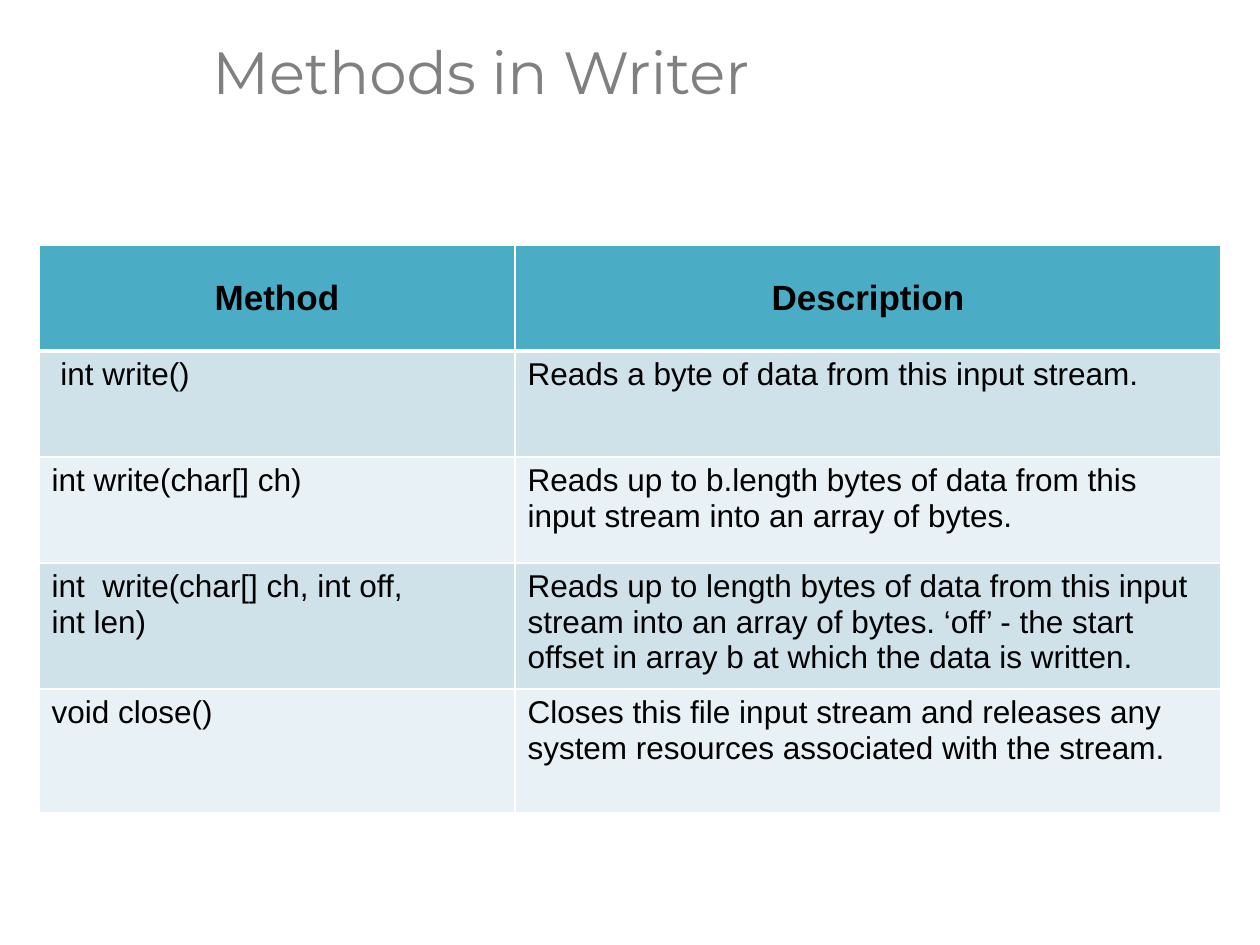
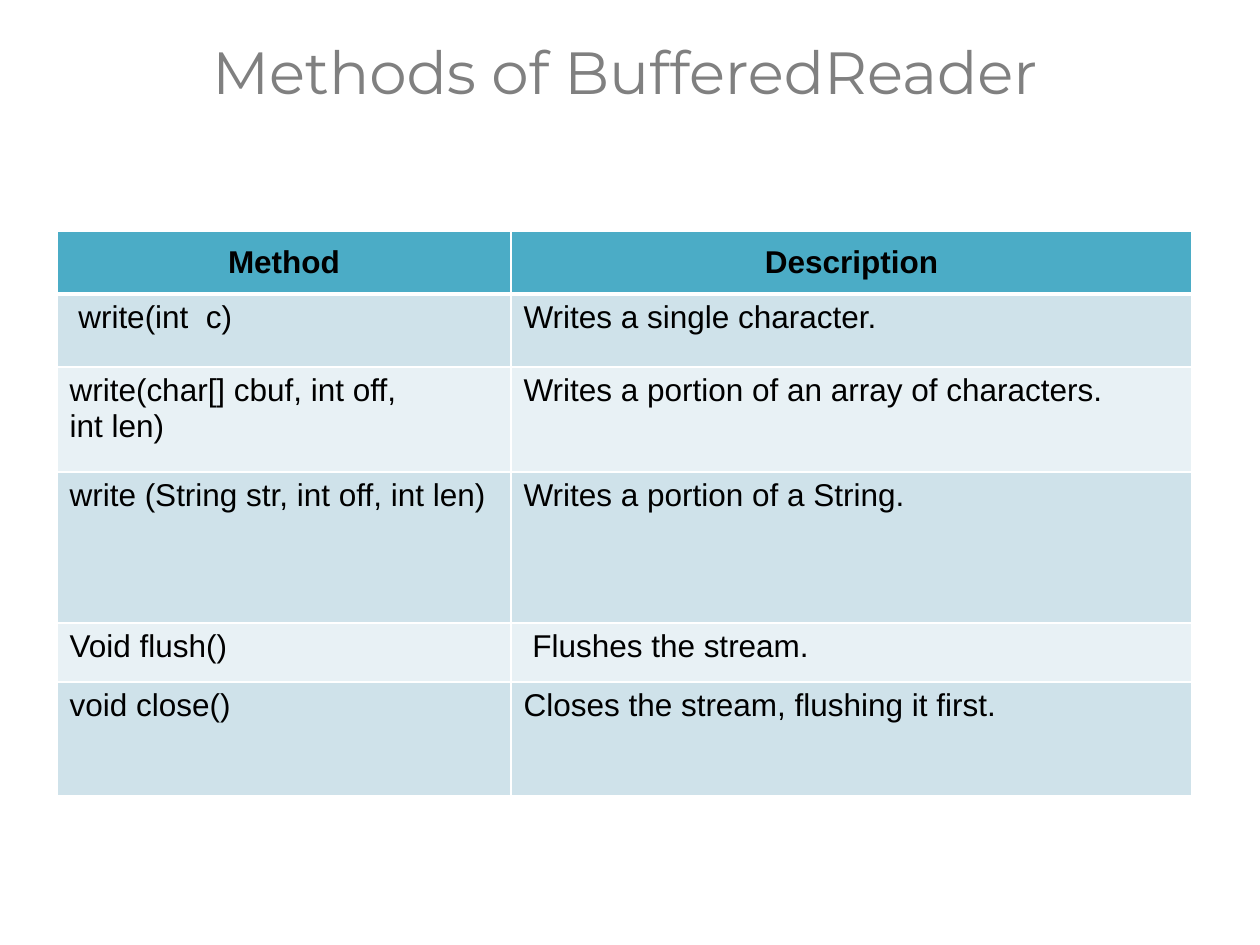
from dataclasses import dataclass

import pptx
import pptx.dml.color
import pptx.enum.text
import pptx.oxml
import pptx.oxml.ns
import pptx.slide
import pptx.table
import pptx.text.text
import pptx.util

RGBColor = pptx.dml.color.RGBColor
PP_ALIGN = pptx.enum.text.PP_ALIGN
MSO_ANCHOR = pptx.enum.text.MSO_ANCHOR

# Shared look
WHITE = RGBColor(0xFF, 0xFF, 0xFF)
BLACK = RGBColor(0x00, 0x00, 0x00)
TITLE_GREY = RGBColor(0x80, 0x80, 0x80)
HEADER_TEAL = RGBColor(0x4B, 0xAC, 0xC6)
BANDS = (RGBColor(0xCF, 0xE2, 0xEA), RGBColor(0xE8, 0xF1, 0xF5))
TITLE_FONT, BODY_FONT = "Montserrat", "Arial"
TITLE_SIZE, BODY_SIZE = 34, 18
TITLE_BOX = (200, -3, 1060, 156)
HEADINGS = ("Method", "Description")
THIN, THICK = 1, 3

PX_PER_INCH = 126


def px(n: int) -> pptx.util.Emu:
    return pptx.util.Emu(round(n * pptx.util.Inches(1) / PX_PER_INCH))


@dataclass(frozen=True)
class MethodSlide:
    title: str
    left: int
    top: int
    col_widths: tuple[int, ...]
    row_heights: tuple[int, ...]
    header_size: int
    methods: tuple[tuple[str, str], ...]


SLIDES = (
    MethodSlide(
        "Methods in Writer", 39, 245, (476, 706), (106, 106, 106, 124, 124), 20,
        (
            ("\u00a0int write()", "Reads a byte of data from this input stream."),
            ("int write(char[] ch)",
             "Reads up to b.length bytes of data from this input stream "
             "into an array of bytes."),
            ("int  write(char[]\u00a0ch, int\u00a0off, int\u00a0len)",
             "Reads up to length bytes of data from this input stream into an "
             "array of bytes. \u2018off\u2019 - the start offset in array b at "
             "which the data is written."),
            ("void close()",
             "Closes this file input stream and releases any system resources "
             "associated with the stream."),
        ),
    ),
    MethodSlide(
        "Methods of BufferedReader", 57, 231, (454, 681),
        (63, 73, 105, 151, 59, 114), 18,
        (
            ("\u00a0write(int  c)", "Writes a single character."),
            ("write(char[]\u00a0cbuf, int\u00a0off, int\u00a0len)",
             "Writes a portion of an array of characters."),
            ("write (String str, int\u00a0off, int\u00a0len)",
             "Writes a portion of a String."),
            ("Void flush()", "\u00a0Flushes the stream."),
            ("void close()", "Closes the stream, flushing it first."),
        ),
    ),
)


def add_run(p: pptx.text.text._Paragraph, text: str, font: str, size: int,
            color: RGBColor, bold: bool = False) -> None:
    r = p.add_run()
    r.text = text
    r.font.name = font
    r.font.size = pptx.util.Pt(size)
    r.font.bold = bold
    r.font.color.rgb = color


def add_title(s: pptx.slide.Slide, text: str) -> None:
    tf = s.shapes.add_textbox(*map(px, TITLE_BOX)).text_frame
    tf.word_wrap = True
    tf.vertical_anchor = MSO_ANCHOR.MIDDLE
    p = tf.paragraphs[0]
    p.line_spacing = 0.9
    add_run(p, text, TITLE_FONT, TITLE_SIZE, TITLE_GREY)


def set_borders(cell: pptx.table._Cell, top: int, bottom: int) -> None:
    tc_pr = cell._tc.get_or_add_tcPr()
    for side, width in (("L", THIN), ("R", THIN), ("T", top), ("B", bottom)):
        tc_pr.append(pptx.oxml.parse_xml(
            f'<a:ln{side} {pptx.oxml.ns.nsdecls("a")} w="{pptx.util.Pt(width)}">'
            f'<a:solidFill><a:srgbClr val="{WHITE}"/></a:solidFill></a:ln{side}>'))


def fill_cell(cell: pptx.table._Cell, row: int, text: str, header_size: int) -> None:
    header = row == 0
    # Borders come before the fill in the cell properties
    set_borders(cell, THICK if row == 1 else THIN, THICK if header else THIN)
    cell.fill.solid()
    cell.fill.fore_color.rgb = HEADER_TEAL if header else BANDS[(row - 1) % 2]
    cell.vertical_anchor = MSO_ANCHOR.MIDDLE if header else MSO_ANCHOR.TOP
    p = cell.text_frame.paragraphs[0]
    p.alignment = PP_ALIGN.CENTER if header else PP_ALIGN.LEFT
    add_run(p, text, BODY_FONT, header_size if header else BODY_SIZE, BLACK, header)


def add_method_table(s: pptx.slide.Slide, spec_: MethodSlide) -> None:
    rows = (HEADINGS, *spec_.methods)
    table = s.shapes.add_table(
        len(rows), len(HEADINGS), px(spec_.left), px(spec_.top),
        px(sum(spec_.col_widths)), px(sum(spec_.row_heights))).table
    for column, width in zip(table.columns, spec_.col_widths):
        column.width = px(width)
    for i, (texts, height) in enumerate(zip(rows, spec_.row_heights)):
        table.rows[i].height = px(height)
        for j, text in enumerate(texts):
            fill_cell(table.cell(i, j), i, text, spec_.header_size)


prs = pptx.Presentation()
prs.slide_width, prs.slide_height = px(1260), px(945)
blank = prs.slide_layouts[6]

# One title and one table on each slide
for content in SLIDES:
    s = prs.slides.add_slide(blank)
    add_title(s, content.title)
    add_method_table(s, content)

prs.save("out.pptx")
